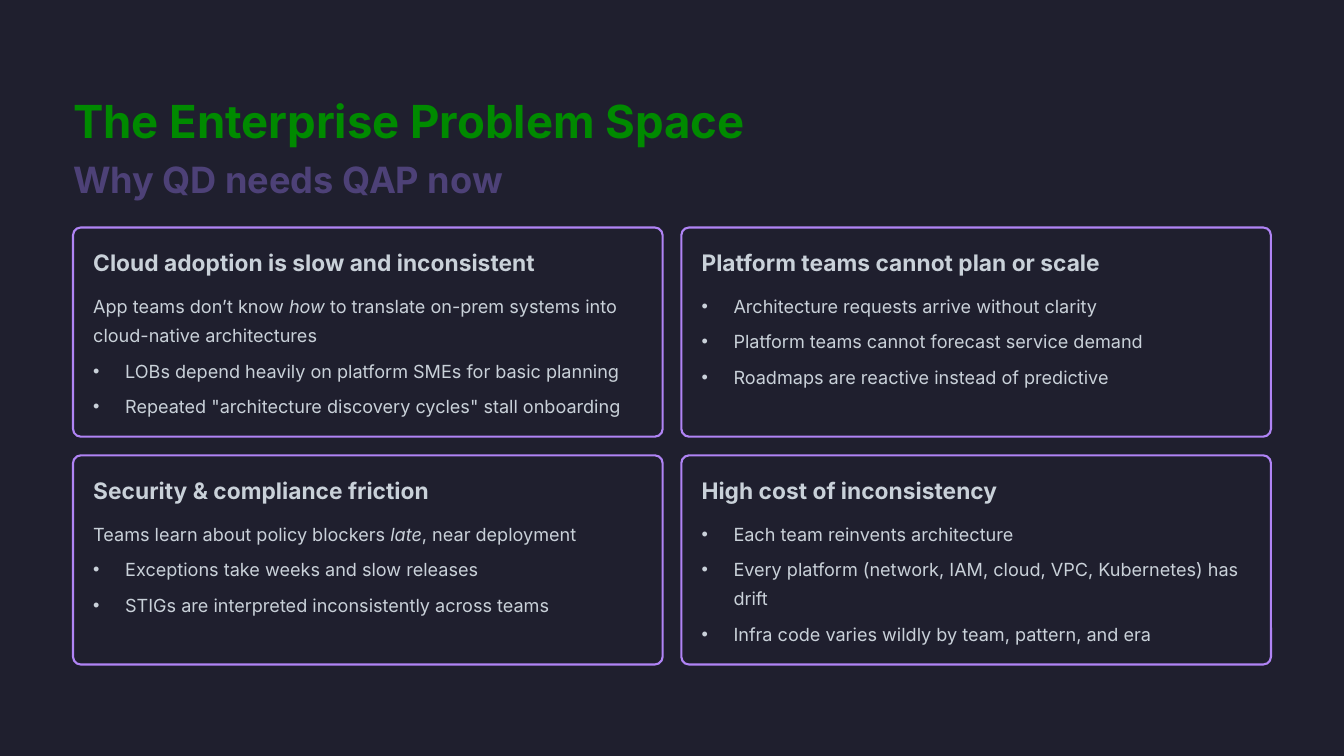
from lxml.etree import SubElement
from pptx import Presentation
from pptx.dml.color import RGBColor
from pptx.enum.shapes import MSO_SHAPE
from pptx.enum.text import MSO_ANCHOR, MSO_AUTO_SIZE, PP_ALIGN
from pptx.oxml.ns import qn
from pptx.util import Pt

TITLE = "The Enterprise Problem Space"
SUBTITLE = "Why QD needs QAP now"
CARDS = [
    ("Cloud adoption is slow and inconsistent",
     "App teams don’t know *how* to translate on-prem systems into cloud-native architectures",
     ["LOBs depend heavily on platform SMEs for basic planning",
      'Repeated "architecture discovery cycles" stall onboarding']),
    ("Platform teams cannot plan or scale", None,
     ["Architecture requests arrive without clarity",
      "Platform teams cannot forecast service demand",
      "Roadmaps are reactive instead of predictive"]),
    ("Security & compliance friction",
     "Teams learn about policy blockers *late*, near deployment",
     ["Exceptions take weeks and slow releases",
      "STIGs are interpreted inconsistently across teams"]),
    ("High cost of inconsistency", None,
     ["Each team reinvents architecture",
      "Every platform (network, IAM, cloud, VPC, Kubernetes) has drift",
      "Infra code varies wildly by team, pattern, and era"]),
]

DARK, GREEN, PLUM, VIOLET, PALE = "1F1F2E", "008A00", "4D4177", "B084F5", "C9D1D9"
LEFT, TOP, CARD_W, CARD_H, GAP = 62.6, 195, 505.4, 179.3, 16
PAD_X, PAD_Y, INDENT = 17.3, 18, 27.4
TITLE_STYLE = dict(size=39, bold=True, color=GREEN, line=48.5)
SUBTITLE_STYLE = dict(size=31, bold=True, color=PLUM, line=39)
HEADING_STYLE = dict(size=19.5, bold=True, color=PALE, line=24)
ITEM_STYLE = dict(size=15.5, bold=False, color=PALE, line=25)


def rgb(value):
    return RGBColor.from_string(value)


def place(shape, x, y, w, h):
    for name, value in dict(left=x, top=y, width=w, height=h).items():
        setattr(shape, name, Pt(value))


def prepare(shape, wrap=True):
    tf = shape.text_frame
    settings = dict(margin_left=0, margin_right=0, margin_top=0, margin_bottom=0,
                    word_wrap=wrap, auto_size=MSO_AUTO_SIZE.NONE,
                    vertical_anchor=MSO_ANCHOR.TOP)
    for name, value in settings.items():
        setattr(tf, name, value)
    return tf


def write(p, text, style, before=0, bullet=False):
    settings = dict(alignment=PP_ALIGN.LEFT, line_spacing=Pt(style["line"]),
                    space_before=Pt(before), space_after=Pt(0))
    for name, value in settings.items():
        setattr(p, name, value)
    pPr = p._p.get_or_add_pPr()
    indent = Pt(INDENT) if bullet else 0
    pPr.set("marL", str(indent))
    pPr.set("indent", str(-indent))
    if bullet:
        SubElement(pPr, qn("a:buChar"), char="•")
    else:
        SubElement(pPr, qn("a:buNone"))
    for i, part in enumerate(text.split("*")):
        r = p.add_run()
        r.text = part
        font = dict(name="Inter", size=Pt(style["size"]), bold=style["bold"],
                    italic=i % 2 == 1)
        for name, value in font.items():
            setattr(r.font, name, value)
        r.font.color.rgb = rgb(style["color"])


def add_card(s, body, x, y, heading, intro, bullets):
    card = s.shapes.add_shape(MSO_SHAPE.ROUNDED_RECTANGLE,
                              Pt(x), Pt(y), Pt(CARD_W), Pt(CARD_H))
    card.adjustments[0] = 0.037
    card.shadow.inherit = False
    card.fill.solid()
    card.fill.fore_color.rgb = rgb(DARK)
    card.line.color.rgb = rgb(VIOLET)
    card.line.width = Pt(1.8)
    card.element.addnext(body.element)

    place(body, x + PAD_X, y + PAD_Y, CARD_W - 2 * PAD_X, CARD_H - 2 * PAD_Y)
    tf = prepare(body)
    write(tf.paragraphs[0], heading, HEADING_STYLE)
    items = [(intro, False)] if intro else []
    items += [(text, True) for text in bullets]
    for i, (text, bullet) in enumerate(items):
        write(tf.add_paragraph(), text, ITEM_STYLE, 5.3 if i else 9.8, bullet)


def main():
    prs = Presentation()
    prs.slide_width, prs.slide_height = Pt(1152), Pt(648)
    s = prs.slides.add_slide(prs.slide_layouts.get_by_name("Comparison"))
    s.background.fill.solid()
    s.background.fill.fore_color.rgb = rgb(DARK)
    title, *bodies = s.placeholders

    place(title, LEFT, 77.8, 577.5, 49)
    write(prepare(title, False).paragraphs[0], TITLE, TITLE_STYLE)
    subtitle = s.shapes.add_textbox(Pt(LEFT), Pt(133.2), Pt(363.6), Pt(39))
    write(prepare(subtitle, False).paragraphs[0], SUBTITLE, SUBTITLE_STYLE)

    for i, (body, card) in enumerate(zip(bodies, CARDS)):
        row, col = divmod(i, 2)
        add_card(s, body, LEFT + col * (CARD_W + GAP), TOP + row * (CARD_H + GAP), *card)
    prs.save("out.pptx")


if __name__ == "__main__":
    main()
